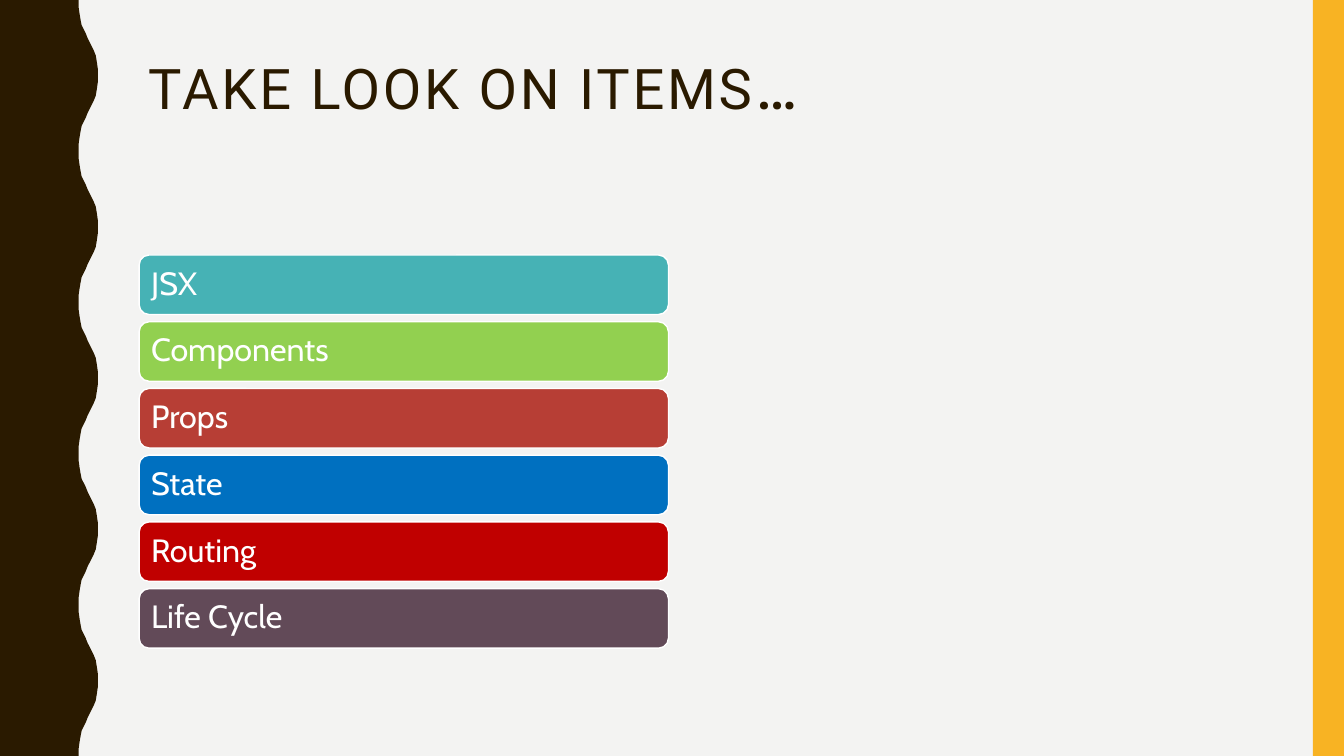
from dataclasses import dataclass
from pptx import Presentation
from pptx.dml.color import RGBColor
from pptx.enum.shapes import MSO_SHAPE
from pptx.enum.text import MSO_ANCHOR, PP_ALIGN
from pptx.util import Pt

SCALE = 9144
WIDTH, HEIGHT = 1333, 750


@dataclass(frozen=True)
class Theme:
    paper: str = "F3F3F2"
    dark: str = "2A1A00"
    gold: str = "F8B323"
    white: str = "FFFFFF"
    head: str = "Roboto"
    dots: str = "Roboto Condensed"
    body: str = "Cabin"
    head_size: int = 40
    dots_size: int = 51
    body_size: int = 23


THEME = Theme()
ITEMS = [
    ("JSX", "46B2B5"),
    ("Components", "92D050"),
    ("Props", "B73E35"),
    ("State", "0070C0"),
    ("Routing", "C00000"),
    ("Life Cycle", "624A58"),
]
BEND = [(0, 0), (0, 7), (1, 14), (2, 20), (3, 25), (5, 29), (7, 33), (9, 38),
        (11, 42), (13, 46), (15, 50), (17, 55), (18, 61), (19, 68), (19, 75)]


def px(value):
    return round(value * SCALE)


def color(code):
    return RGBColor.from_string(code)


def paint(shape, fill, line=None):
    shape.shadow.inherit = False
    shape.fill.solid()
    shape.fill.fore_color.rgb = color(fill)
    if line:
        shape.line.color.rgb = color(line)
        shape.line.width = Pt(1)
    else:
        shape.line.fill.background()


def write(frame, runs, ink, anchor, inset, space=0):
    frame.word_wrap = True
    frame.vertical_anchor = anchor
    frame.margin_left = frame.margin_right = px(inset[0])
    frame.margin_top = frame.margin_bottom = px(inset[1])
    para = frame.paragraphs[0]
    para.alignment = PP_ALIGN.LEFT
    para.line_spacing = 0.9
    for text, face, size in runs:
        run = para.add_run()
        run.text = text
        run.font.name = face
        run.font.size = Pt(size)
        run.font.color.rgb = color(ink)
        if space:
            run.font._element.set("spc", str(space * 100))


def draw_wave(slide, left, top, width, height):
    period = 2 * BEND[-1][1]
    cycle = BEND + [(x, period - y) for x, y in BEND[-2::-1]]
    base = left + width - BEND[-1][0]
    edge = [(base + x, top + start + y)
            for start in range(0, height, period) for x, y in cycle]
    pen = slide.shapes.build_freeform(left, top, scale=SCALE)
    pen.add_line_segments(edge + [(left, top + height)], close=True)
    paint(pen.convert_to_shape(), THEME.dark)


def draw_stripe(slide, left, top, width, height):
    box = map(px, (left, top, width, height))
    paint(slide.shapes.add_shape(MSO_SHAPE.RECTANGLE, *box), THEME.gold)


def draw_title(slide, left, top, width, height):
    title = slide.shapes.title
    title.left, title.top = px(left), px(top)
    title.width, title.height = px(width), px(height)
    runs = [("TAKE LOOK ON ITEMS", THEME.head, THEME.head_size),
            ("…", THEME.dots, THEME.dots_size)]
    write(title.text_frame, runs, ink=THEME.dark, anchor=MSO_ANCHOR.TOP,
          inset=(10, 5), space=2)


def draw_items(slide, left, top, width, height, bar=59):
    pitch = (height - bar) / (len(ITEMS) - 1)
    for row, (name, fill) in enumerate(ITEMS):
        box = map(px, (left, top + row * pitch, width, bar))
        shape = slide.shapes.add_shape(MSO_SHAPE.ROUNDED_RECTANGLE, *box)
        paint(shape, fill, line=THEME.white)
        write(shape.text_frame, [(name, THEME.body, THEME.body_size)],
              ink=THEME.white, anchor=MSO_ANCHOR.MIDDLE, inset=(9, 0))


def main():
    deck = Presentation()
    deck.slide_width, deck.slide_height = px(WIDTH), px(HEIGHT)
    slide = deck.slides.add_slide(deck.slide_layouts[5])
    slide.background.fill.solid()
    slide.background.fill.fore_color.rgb = color(THEME.paper)
    draw_wave(slide, 0, 0, 97, HEIGHT)
    draw_stripe(slide, WIDTH - 31, 0, 31, HEIGHT)
    draw_title(slide, 137, 42, 1113, 163)
    draw_items(slide, 138, 253, 525, 390)
    deck.save("out.pptx")


if __name__ == "__main__":
    main()
